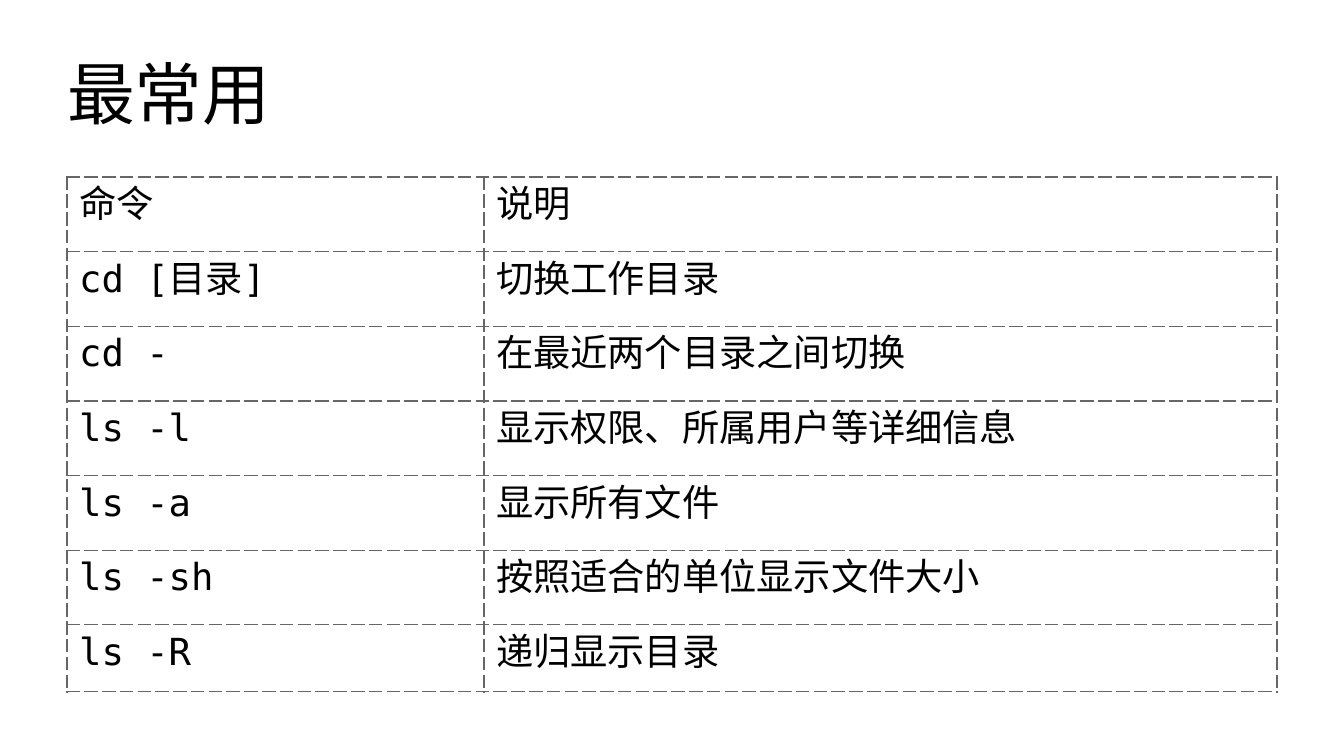
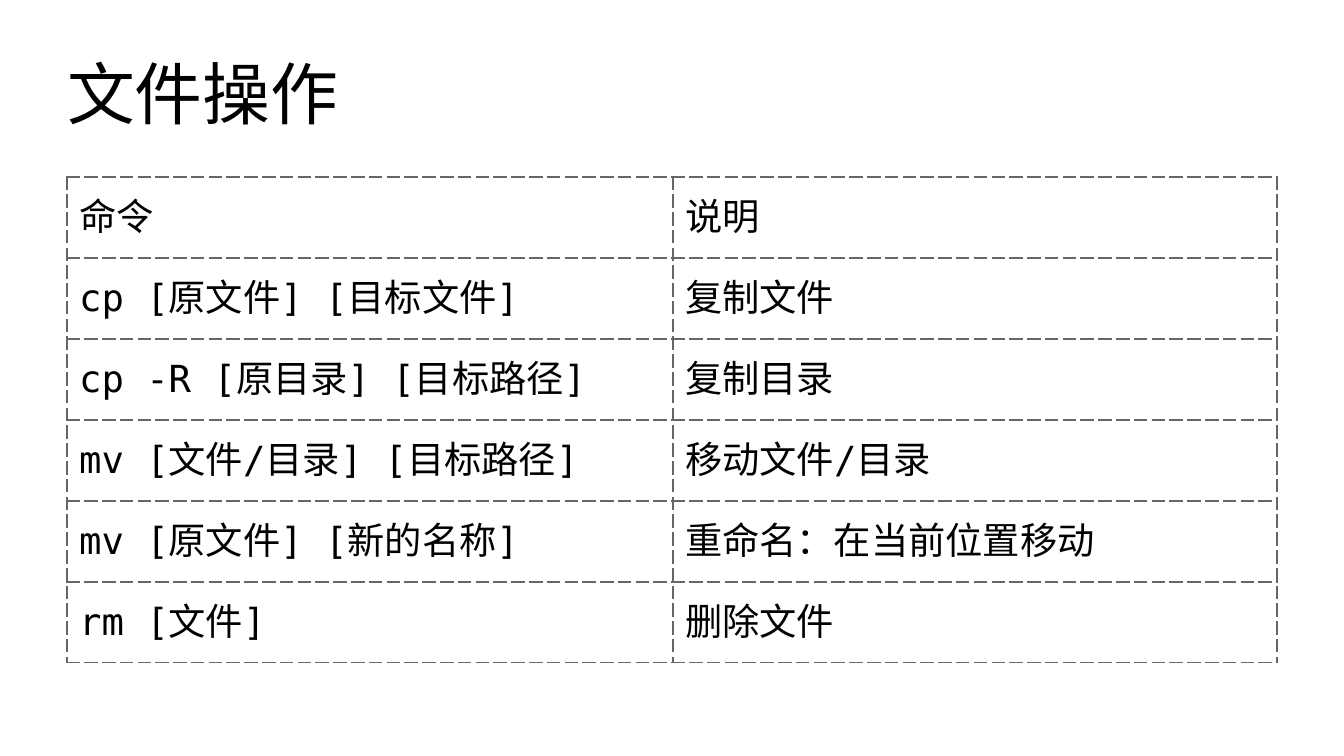
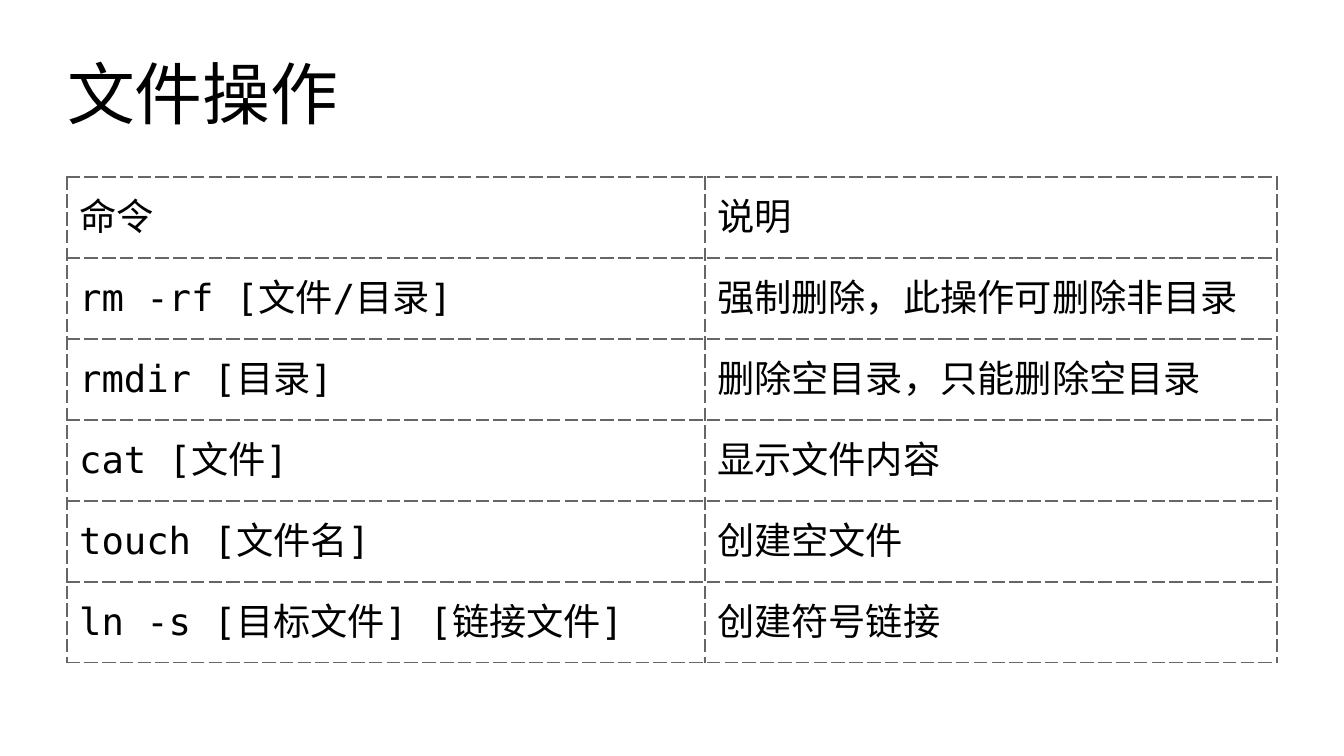
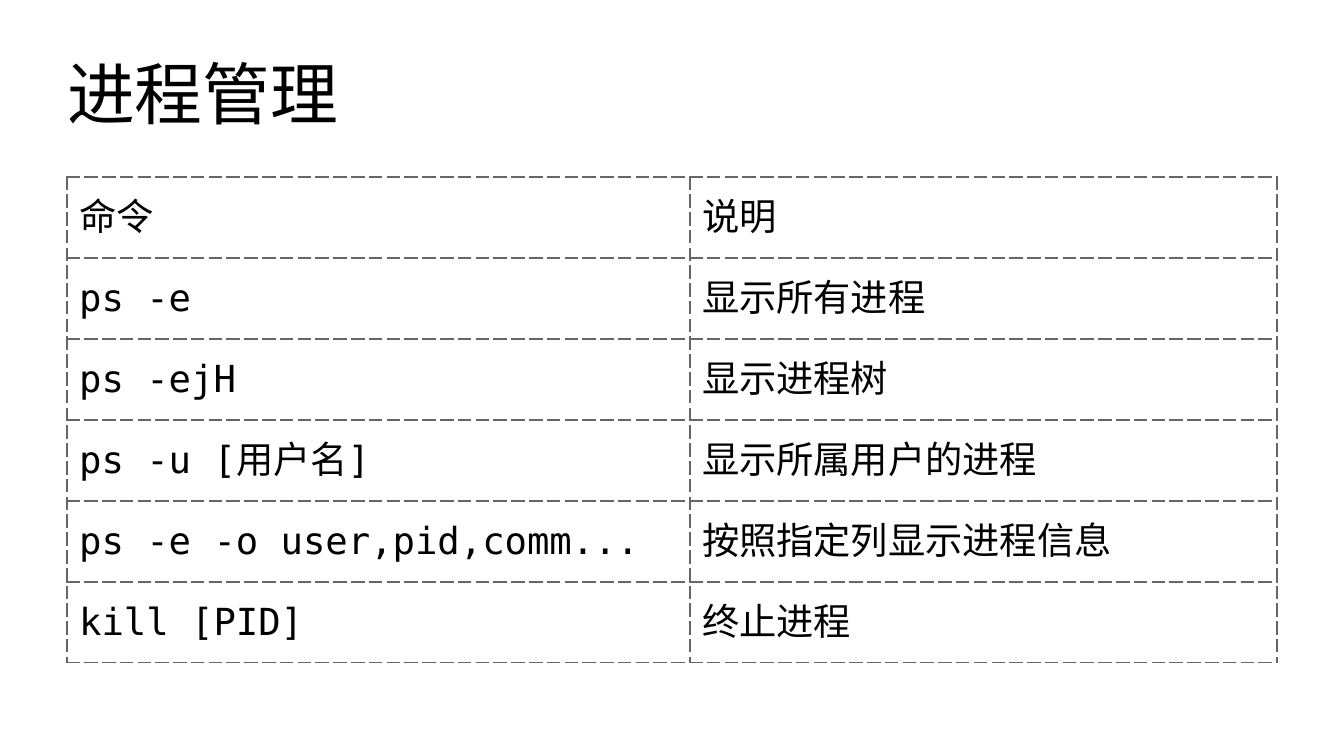
import pptx
import pptx.dml.color
import pptx.enum.lang
import pptx.enum.text
import pptx.oxml
import pptx.oxml.ns
import pptx.util

PX = 914400 / 122
FONT = "DejaVu Sans Mono"
BLACK = "000000"
GREY = "666666"
LEFT, WIDTH = 67, 1210
TITLE_TOP, TITLE_H = 31, 123
TABLE_TOP = 177
HEADER = ("命令", "说明")
TOP = pptx.enum.text.MSO_ANCHOR.TOP
MIDDLE = pptx.enum.text.MSO_ANCHOR.MIDDLE

slides = [
    ("最常用", 417, [448 / 6] * 6 + [67], TOP, [
        ("cd [目录]", "切换工作目录"),
        ("cd -", "在最近两个目录之间切换"),
        ("ls -l", "显示权限、所属用户等详细信息"),
        ("ls -a", "显示所有文件"),
        ("ls -sh", "按照适合的单位显示文件大小"),
        ("ls -R", "递归显示目录"),
    ]),
    ("文件操作", 606, [81] * 6, MIDDLE, [
        ("cp [原文件] [目标文件]", "复制文件"),
        ("cp -R [原目录] [目标路径]", "复制目录"),
        ("mv [文件/目录] [目标路径]", "移动文件/目录"),
        ("mv [原文件] [新的名称]", "重命名：在当前位置移动"),
        ("rm [文件]", "删除文件"),
    ]),
    ("文件操作", 638, [81] * 6, MIDDLE, [
        ("rm -rf [文件/目录]", "强制删除，此操作可删除非目录"),
        ("rmdir [目录]", "删除空目录，只能删除空目录"),
        ("cat [文件]", "显示文件内容"),
        ("touch [文件名]", "创建空文件"),
        ("ln -s [目标文件] [链接文件]", "创建符号链接"),
    ]),
    ("进程管理", 623, [81] * 6, MIDDLE, [
        ("ps -e", "显示所有进程"),
        ("ps -ejH", "显示进程树"),
        ("ps -u [用户名]", "显示所属用户的进程"),
        ("ps -e -o user,pid,comm...", "按照指定列显示进程信息"),
        ("kill [PID]", "终止进程"),
    ]),
]


def emu(px):
    return pptx.util.Emu(round(px * PX))


def write(tf, text, size, color=BLACK):
    p = tf.paragraphs[0]
    p.alignment = pptx.enum.text.PP_ALIGN.LEFT
    r = p.add_run()
    r.text = text
    r.font.name = FONT
    r.font.size = pptx.util.Pt(size)
    r.font.bold = False
    r.font.color.rgb = pptx.dml.color.RGBColor.from_string(color)
    r.font.language_id = pptx.enum.lang.MSO_LANGUAGE_ID.SIMPLIFIED_CHINESE
    ea = pptx.oxml.parse_xml(f'<a:ea {pptx.oxml.ns.nsdecls("a")} typeface="{FONT}"/>')
    r.font._element.append(ea)


prs = pptx.Presentation()
prs.slide_width, prs.slide_height = emu(1344), emu(756)

for title, command_w, heights, anchor, commands in slides:
    s = prs.slides.add_slide(prs.slide_layouts[5])
    sp = s.shapes.title
    sp.left, sp.top, sp.width, sp.height = map(emu, (LEFT, TITLE_TOP, WIDTH, TITLE_H))
    tf = sp.text_frame
    tf.margin_left = tf.margin_right = tf.margin_top = tf.margin_bottom = 0
    tf.vertical_anchor = MIDDLE
    tf.auto_size = pptx.enum.text.MSO_AUTO_SIZE.NONE
    tf.word_wrap = True
    write(tf, title, 40)

    rows = [HEADER] + commands
    box = map(emu, (LEFT, TABLE_TOP, WIDTH, sum(heights)))
    table = s.shapes.add_table(len(rows), len(HEADER), *box).table
    table.first_row = table.horz_banding = False
    table.columns[0].width = emu(command_w)
    table.columns[1].width = emu(WIDTH - command_w)
    for i, (height, texts) in enumerate(zip(heights, rows)):
        table.rows[i].height = emu(height)
        for j, text in enumerate(texts):
            cell = table.cell(i, j)
            cell.vertical_anchor = anchor
            write(cell.text_frame, text, 22)
            tc_pr = cell._tc.get_or_add_tcPr()
            for side in "LRTB":
                tc_pr.append(pptx.oxml.parse_xml(
                    f'<a:ln{side} {pptx.oxml.ns.nsdecls("a")} w="{pptx.util.Pt(0.85)}">'
                    f'<a:solidFill><a:srgbClr val="{GREY}"/></a:solidFill>'
                    f'<a:prstDash val="dash"/></a:ln{side}>'))
            cell.fill.background()

prs.save("out.pptx")
